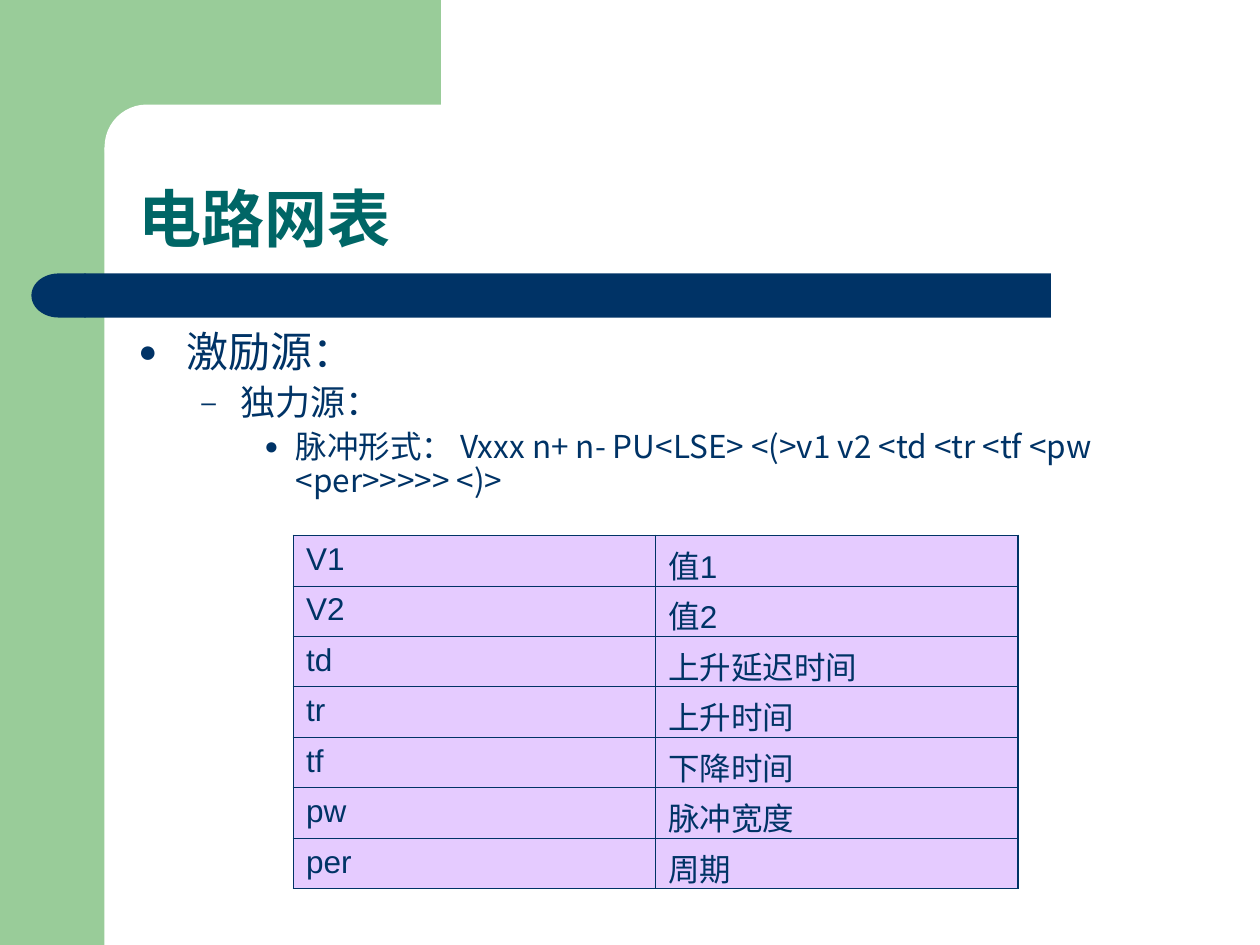
import pptx
import pptx.dml.color
import pptx.enum.shapes
import pptx.enum.text
import pptx.oxml
import pptx.oxml.ns
import pptx.util
from lxml import etree

Inches = pptx.util.Inches
Pt = pptx.util.Pt
qn = pptx.oxml.ns.qn
SHAPE = pptx.enum.shapes.MSO_SHAPE

COLORS = {
    "green": "99CC99",
    "white": "FFFFFF",
    "navy": "003366",
    "teal": "006666",
    "violet": "CC99FF",
}
CJK = "Noto Sans CJK SC"
OUTLINE = [
    ("激励源：", 24, 6, 0.38, 0.38, "●"),
    ("独力源：", 20, 5, 0.81, 0.31, "–"),
    ("脉冲形式： Vxxx n+ n- PU<LSE> <(>v1 v2 <td <tr <tf <pw <per>>>>> <)>",
     18, 4.5, 1.25, 0.25, "●"),
]
PARAMETERS = [
    ("V1", "值1"),
    ("V2", "值2"),
    ("td", "上升延迟时间"),
    ("tr", "上升时间"),
    ("tf", "下降时间"),
    ("pw", "脉冲宽度"),
    ("per", "周期"),
]


def rgb(name):
    return pptx.dml.color.RGBColor.from_string(COLORS[name])


def style_runs(paragraph, size, color, latin=CJK, bold=False):
    for run in paragraph.runs:
        run.font.size = Pt(size)
        run.font.bold = bold
        run.font.name = latin
        run.font.color.rgb = rgb(color)
        east_asian = etree.SubElement(run.font._element, qn("a:ea"))
        east_asian.set("typeface", CJK)


def add_block(slide, kind, left, top, width, height, color, rounding=None):
    block = slide.shapes.add_shape(
        kind, Inches(left), Inches(top), Inches(width), Inches(height))
    block.shadow.inherit = False
    block.fill.solid()
    block.fill.fore_color.rgb = rgb(color)
    block.line.fill.background()
    if rounding is not None:
        block.adjustments[0] = rounding
    return block


def add_corner(slide, left, top, width, height):
    band = 0.83
    add_block(slide, SHAPE.RECTANGLE, left, top, band, height, "green")
    add_block(slide, SHAPE.RECTANGLE, left + 0.75, top, width - 0.75, 1.17, "green")
    add_block(slide, SHAPE.ROUNDED_RECTANGLE, left + band, top + band,
              5.58, 0.67, "white", 0.5)


def add_title_bar(slide, left, top, width, height):
    cap_width = 0.43
    bar_left = left + cap_width - 0.01
    add_block(slide, SHAPE.ROUNDED_RECTANGLE, bar_left, top,
              left + width - bar_left, height, "navy", 0)
    cap = add_block(slide, SHAPE.FLOWCHART_DELAY, left, top, cap_width, height, "navy")
    cap.element.spPr.find(qn("a:xfrm")).set("flipH", "1")


def place_title(slide, left, top, width, height):
    title = slide.shapes.title
    title.left, title.top = Inches(left), Inches(top)
    title.width, title.height = Inches(width), Inches(height)
    title.element.getparent().append(title.element)
    frame = title.text_frame
    frame.text = "电路网表"
    frame.auto_size = pptx.enum.text.MSO_AUTO_SIZE.NONE
    frame.vertical_anchor = pptx.enum.text.MSO_ANCHOR.BOTTOM
    heading = frame.paragraphs[0]
    heading.alignment = pptx.enum.text.PP_ALIGN.LEFT
    heading.line_spacing = 0.9
    style_runs(heading, 36, "teal", bold=True)


def set_bullet(paragraph, margin, hanging, character):
    properties = paragraph._p.get_or_add_pPr()
    properties.set("marL", str(Inches(margin)))
    properties.set("indent", str(-Inches(hanging)))
    bullet_color = etree.SubElement(properties, qn("a:buClr"))
    etree.SubElement(bullet_color, qn("a:srgbClr")).set("val", COLORS["navy"])
    etree.SubElement(properties, qn("a:buSzPct")).set("val", "75000")
    etree.SubElement(properties, qn("a:buFont")).set("typeface", "Arial")
    etree.SubElement(properties, qn("a:buChar")).set("char", character)


def add_outline(slide, left, top, width, height):
    outline = slide.shapes.add_textbox(
        Inches(left), Inches(top), Inches(width), Inches(height))
    frame = outline.text_frame
    frame.word_wrap = True
    frame.text = "\n".join(item[0] for item in OUTLINE)
    for level, (paragraph, item) in enumerate(zip(frame.paragraphs, OUTLINE)):
        size, space, margin, hanging, character = item[1:]
        paragraph.level = level
        paragraph.line_spacing = 0.9
        paragraph.space_before = Pt(space)
        set_bullet(paragraph, margin, hanging, character)
        style_runs(paragraph, size, "navy")


def set_borders(cell, outer_sides):
    properties = cell._tc.get_or_add_tcPr()
    for position, side in enumerate("LRTB"):
        border = etree.Element(qn(f"a:ln{side}"))
        border.set("w", str(Pt(1.08 if side in outer_sides else 0.45)))
        fill = etree.SubElement(border, qn("a:solidFill"))
        etree.SubElement(fill, qn("a:srgbClr")).set("val", COLORS["navy"])
        properties.insert(position, border)


def fill_cell(cell, text):
    cell.text_frame.text = text
    paragraph = cell.text_frame.paragraphs[0]
    paragraph.space_before = Pt(4.5)
    style_runs(paragraph, 18, "navy", latin="Arial")
    cell.fill.solid()
    cell.fill.fore_color.rgb = rgb("violet")
    tint = cell._tc.tcPr.find(f".//{qn('a:srgbClr')}")
    etree.SubElement(tint, qn("a:alpha")).set("val", "50000")


def add_parameter_table(slide, left, top, width, height):
    rows, columns = len(PARAMETERS), len(PARAMETERS[0])
    table = slide.shapes.add_table(
        rows, columns, Inches(left), Inches(top), Inches(width), Inches(height)).table
    table.first_row = False
    table.horz_banding = False
    for row, values in enumerate(PARAMETERS):
        for column, text in enumerate(values):
            cell = table.cell(row, column)
            fill_cell(cell, text)
            edges = {"L": column == 0, "R": column == columns - 1,
                     "T": row == 0, "B": row == rows - 1}
            set_borders(cell, [side for side, outer in edges.items() if outer])


def main():
    presentation = pptx.Presentation()
    presentation.slide_width = Inches(10)
    presentation.slide_height = Inches(7.5)
    slide = presentation.slides.add_slide(presentation.slide_layouts[5])
    add_corner(slide, 0, 0, 3.5, 7.5)
    add_title_bar(slide, 0.25, 2.17, 8.09, 0.35)
    place_title(slide, 1, 0.83, 8.75, 1.25)
    add_outline(slide, 1, 2.58, 8.75, 1.5)
    add_parameter_table(slide, 2.33, 4.25, 5.75, 2.8)
    presentation.save("out.pptx")


if __name__ == "__main__":
    main()
